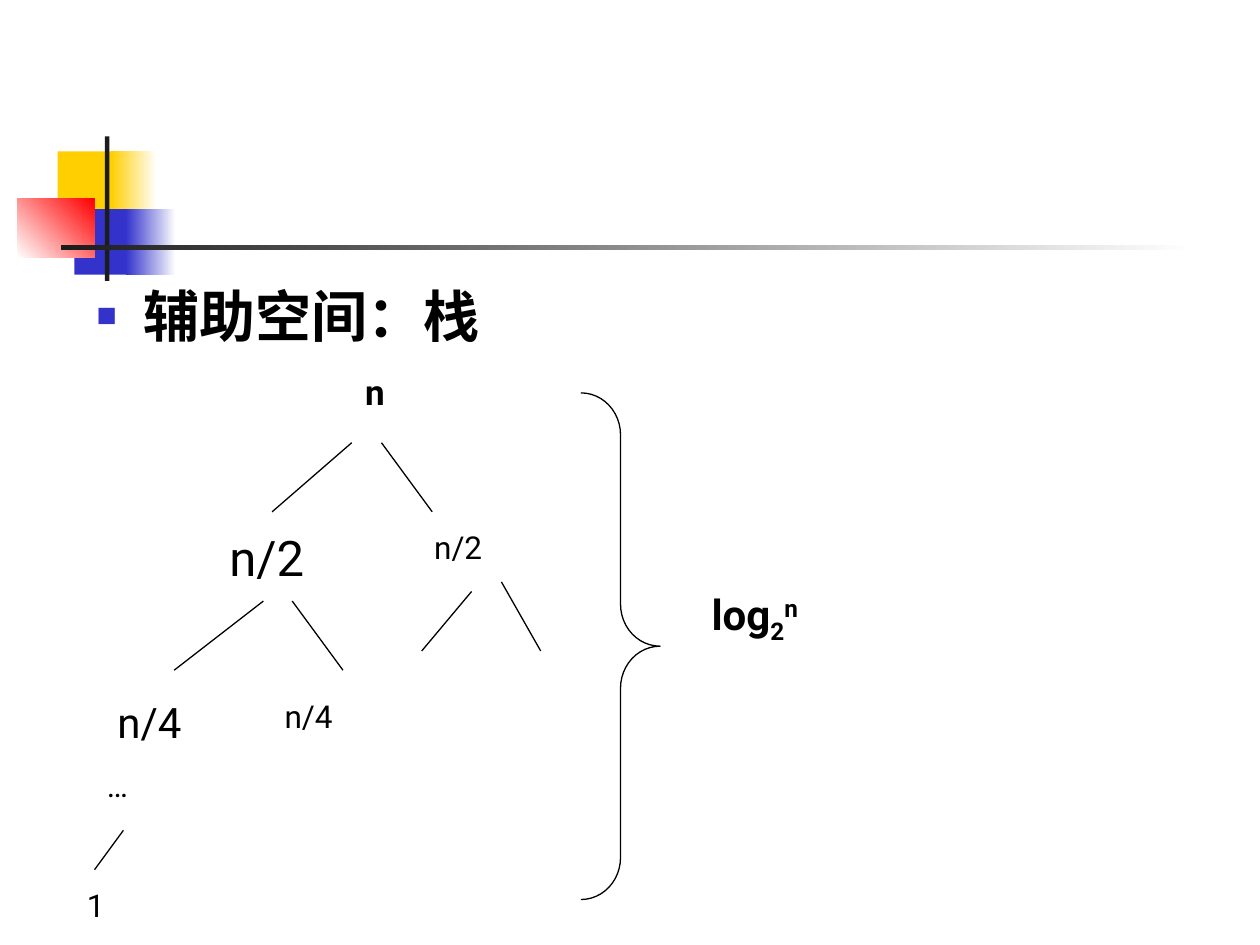
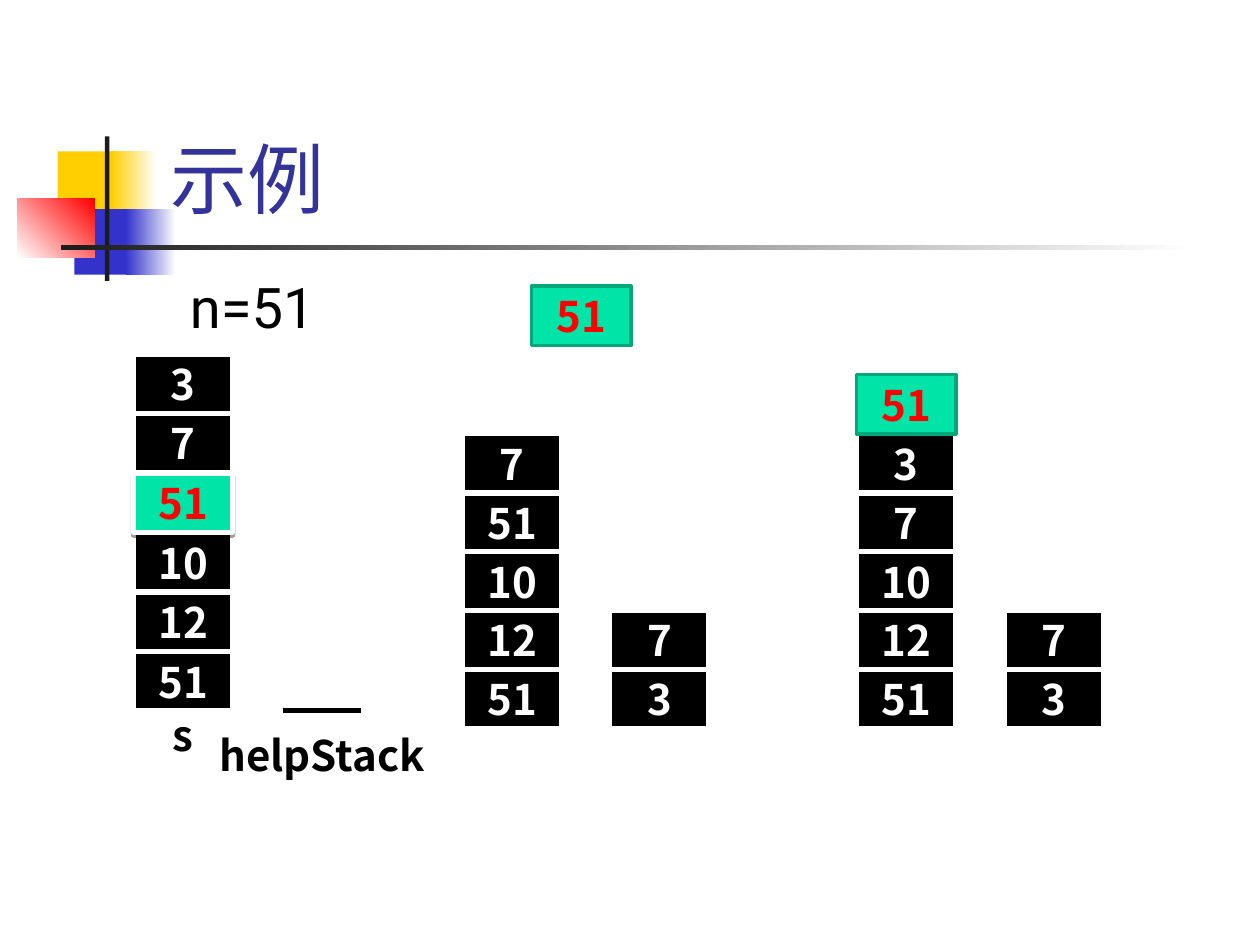
import pptx
import pptx.util
import pptx.dml.color
import pptx.enum.shapes
import pptx.enum.text
import pptx.oxml
import pptx.oxml.ns
from lxml import etree

Pt = pptx.util.Pt
RGB = pptx.dml.color.RGBColor.from_string
SHAPES = pptx.enum.shapes.MSO_SHAPE
ALIGN = pptx.enum.text.PP_ALIGN
ANCHOR = pptx.enum.text.MSO_ANCHOR
AUTO_SIZE = pptx.enum.text.MSO_AUTO_SIZE
qn = pptx.oxml.ns.qn

COLORS = {
    "yellow": "FFCF01", "blue": "3333CC", "red": "FF0000", "ink": "1C1C1C",
    "white": "FFFFFF", "black": "000000", "title": "333399",
    "green": "00E4A8", "green edge": "00A77A",
}
LATIN = "Roboto"
CJK = "Noto Sans CJK SC"


def write(shape, text, size=24, color="black", bold=False, font=LATIN, baseline=0,
          align=ALIGN.LEFT, anchor=ANCHOR.TOP, wrap=True, fit=AUTO_SIZE.NONE):
    frame = shape.text_frame
    frame.word_wrap = wrap
    frame.auto_size = fit
    frame.vertical_anchor = anchor
    paragraph = frame.paragraphs[0]
    paragraph.alignment = align
    paragraph.space_before = Pt(0)
    run = paragraph.add_run()
    run.text = text
    run.font.size = Pt(size)
    run.font.bold = bold
    run.font.color.rgb = RGB(COLORS[color])
    run.font.name = font
    properties = run._r.get_or_add_rPr()
    etree.SubElement(properties, qn("a:ea"), typeface=CJK)
    if baseline:
        properties.set("baseline", str(baseline))


def draw_line(slide, x1, y1, x2, y2, width):
    line = slide.shapes.add_connector(
        pptx.enum.shapes.MSO_CONNECTOR.STRAIGHT, Pt(x1), Pt(y1), Pt(x2), Pt(y2))
    line.line.color.rgb = RGB(COLORS["black"])
    line.line.width = Pt(width)
    etree.SubElement(line.element.spPr, qn("a:effectLst"))


deck = pptx.Presentation()
deck.slide_width, deck.slide_height = Pt(720), Pt(540)
recursion = deck.slides.add_slide(deck.slide_layouts[1])
example = deck.slides.add_slide(deck.slide_layouts[5])

emblem = [
    (33, 86.5, 34.5, 37.5, ["yellow"], 0),
    (63.5, 86.5, 26, 37.5, ["yellow", "white"], 0),
    (42.5, 119.5, 33, 37.5, ["blue"], 0),
    (72, 119.5, 28.5, 37.5, ["blue", "white"], 0),
    (10, 113.5, 44, 33.5, ["white", "red"], 45),
    (60, 78, 2.5, 82.5, ["ink"], 0),
    (34.75, 140.25, 648, 2.5, ["ink", "white"], 0),
]
for number, (x, y, width, height, tones, angle) in enumerate(emblem):
    piece = recursion.shapes.add_shape(
        SHAPES.RECTANGLE, Pt(x), Pt(y), Pt(width), Pt(height))
    piece.shadow.inherit = False
    piece.line.fill.background()
    if len(tones) == 1:
        piece.fill.solid()
        piece.fill.fore_color.rgb = RGB(COLORS[tones[0]])
    else:
        piece.fill.gradient()
        piece.fill.gradient_angle = angle
        for stop, tone in zip(piece.fill.gradient_stops, tones):
            stop.color.rgb = RGB(COLORS[tone])
    piece.element.nvSpPr.cNvPr.set("id", str(100 + number))
    deck.slide_master.shapes.element.append(piece.element)

unused_title = recursion.shapes.title.element
unused_title.getparent().remove(unused_title)
topic = recursion.placeholders[1]
topic.left, topic.top, topic.width, topic.height = Pt(48), Pt(157), Pt(612), Pt(324)
bullet = topic.text_frame.paragraphs[0]._p.get_or_add_pPr()
bullet.set("marL", str(Pt(27)))
bullet.set("indent", str(-Pt(27)))
bullet_color = etree.SubElement(bullet, qn("a:buClr"))
etree.SubElement(bullet_color, qn("a:srgbClr"), val=COLORS["blue"])
etree.SubElement(bullet, qn("a:buSzPct"), val="60000")
etree.SubElement(bullet, qn("a:buChar"), char="■")
write(topic, "辅助空间：栈", size=32, bold=True)

branches = [
    (201, 253, 155.5, 292.5), (218, 253, 247, 292.5),
    (150.5, 343.5, 99.5, 383), (167, 343.5, 196, 383),
    (269.5, 338, 241, 372), (286.5, 332.5, 309, 372),
    (70.5, 474.5, 54, 497),
]
for branch in branches:
    draw_line(recursion, *branch, width=0.75)

nodes = [
    ("n", 201.5, 208, 51, 32, 20, True),
    ("n/2", 124, 298, 86.5, 41, 28, False),
    ("n/2", 241, 298, 51, 29, 18, False),
    ("n/4", 60, 394.5, 62.5, 36, 24, False),
    ("n/4", 155.5, 394.5, 62.5, 29, 18, False),
    ("…", 54, 434, 34, 29, 18, False),
    ("1", 42.5, 502.5, 34, 29, 18, False),
]
for text, x, y, width, height, size, bold in nodes:
    node = recursion.shapes.add_textbox(Pt(x), Pt(y), Pt(width), Pt(height))
    write(node, text, size=size, bold=bold, fit=AUTO_SIZE.SHAPE_TO_FIT_TEXT)

depth_brace = recursion.shapes.add_shape(
    SHAPES.RIGHT_BRACE, Pt(332), Pt(224.5), Pt(45.25), Pt(289.5))
depth_brace.adjustments[0] = 0.53
depth_brace.shadow.inherit = False
depth_brace.fill.background()
depth_brace.line.color.rgb = RGB(COLORS["black"])
depth_brace.line.width = Pt(0.75)

depth = recursion.shapes.add_textbox(Pt(399.5), Pt(332.5), Pt(85), Pt(40))
for part, baseline in [("log", 0), ("2", -25000), ("n", 30000)]:
    write(depth, part, bold=True, baseline=baseline)

heading = example.shapes.title
heading.left, heading.top, heading.width, heading.height = Pt(90.5), Pt(16.5), Pt(613.5), Pt(115)
write(heading, "示例", size=44, color="title", anchor=ANCHOR.BOTTOM)

target = example.shapes.add_textbox(Pt(101.5), Pt(152), Pt(180), Pt(46))
write(target, "n=51", size=32, fit=AUTO_SIZE.SHAPE_TO_FIT_TEXT)

styles = {
    "plain": ("black", "white", 3, "white"),
    "found": ("green", "white", 3, "red"),
    "lifted": ("green", "green edge", 2, "red"),
}
stacks = [
    (76.25, 372.25, 34, ["51", "12", "10", "51", "7", "3"], {3: "found"}),
    (264.25, 382.5, 33.7, ["51", "12", "10", "51", "7"], {}),
    (348.5, 382.5, 33.7, ["3", "7"], {}),
    (303.75, 163.5, 33.7, ["51"], {0: "lifted"}),
    (489.5, 382.5, 33.7, ["51", "12", "10", "7", "3", "51"], {5: "lifted"}),
    (573.75, 382.5, 33.7, ["3", "7"], {}),
]
for x, base, pitch, values, marked in stacks:
    for level, value in enumerate(values):
        style = marked.get(level, "plain")
        fill, edge, edge_width, ink = styles[style]
        cell = example.shapes.add_shape(
            SHAPES.RECTANGLE, Pt(x), Pt(base - level * pitch), Pt(56.75), Pt(34))
        cell.shadow.inherit = False
        cell.fill.solid()
        cell.fill.fore_color.rgb = RGB(COLORS[fill])
        cell.line.color.rgb = RGB(COLORS[edge])
        cell.line.width = Pt(edge_width)
        write(cell, value, color=ink, bold=True, font=CJK,
              align=ALIGN.CENTER, anchor=ANCHOR.MIDDLE, wrap=False)
        if style == "found":
            effects = cell.element.spPr.find(qn("a:effectLst"))
            shadow = etree.SubElement(effects, qn("a:outerShdw"), blurRad="0",
                                      dist=str(Pt(1.6)), dir="5400000", rotWithShape="0")
            shade = etree.SubElement(shadow, qn("a:srgbClr"), val=COLORS["black"])
            etree.SubElement(shade, qn("a:alpha"), val="38000")

draw_line(example, 161.5, 406, 206.5, 406, width=3)
for text, x, y in [("s", 82, 406), ("helpStack", 161.5, 417.5)]:
    label = example.shapes.add_textbox(Pt(x), Pt(y), Pt(45), Pt(28))
    write(label, text, bold=True, font=CJK,
          align=ALIGN.CENTER, anchor=ANCHOR.MIDDLE, wrap=False)

deck.save("out.pptx")
